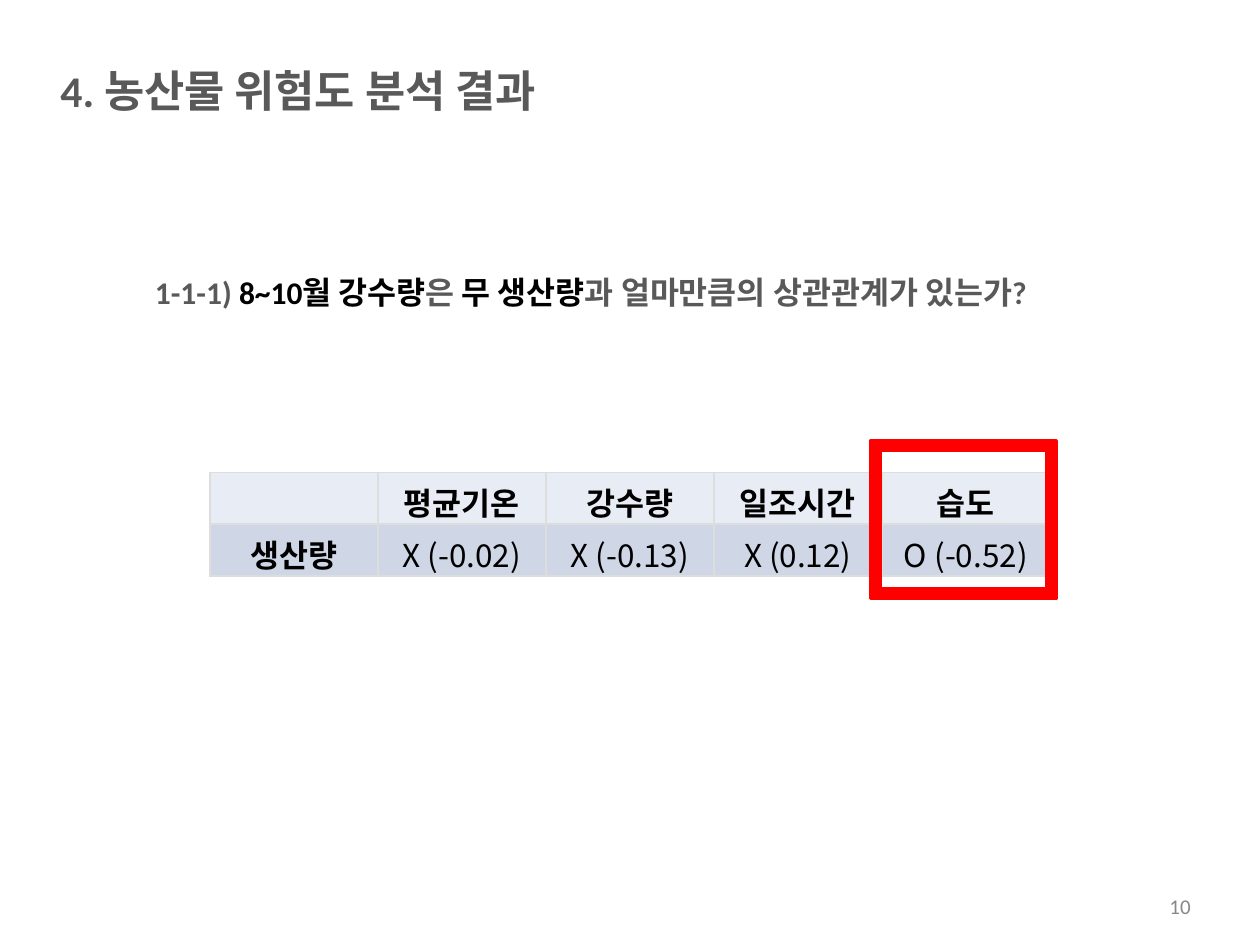
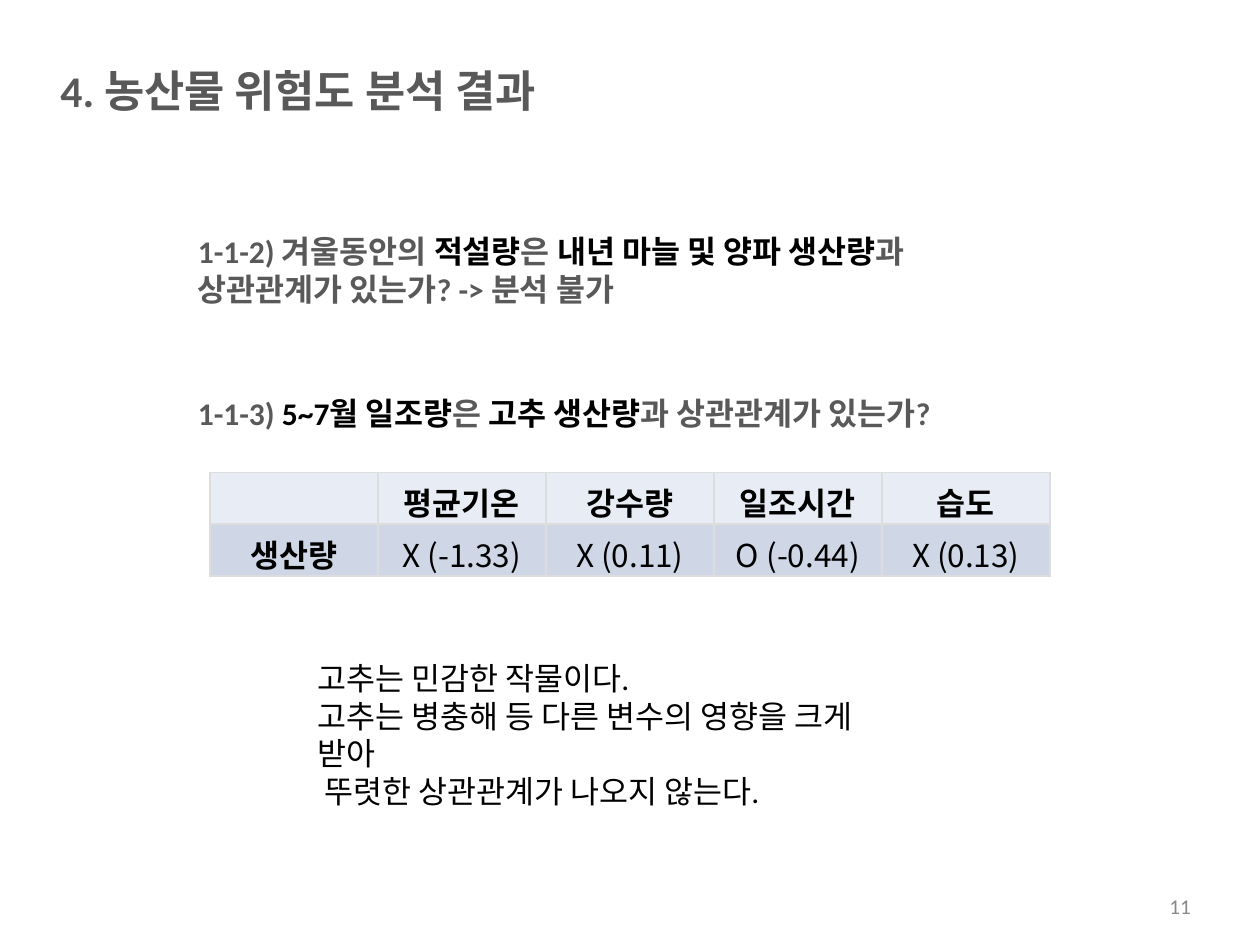
from lxml import etree
from pptx import Presentation
from pptx.dml.color import RGBColor
from pptx.enum.text import MSO_ANCHOR, PP_ALIGN
from pptx.oxml.ns import qn
from pptx.util import Inches, Pt

LEFT, CENTER, RIGHT = PP_ALIGN.LEFT, PP_ALIGN.CENTER, PP_ALIGN.RIGHT
TOP, MIDDLE = MSO_ANCHOR.TOP, MSO_ANCHOR.MIDDLE

GRAY = RGBColor(0x59, 0x59, 0x59)
BLACK = RGBColor(0, 0, 0)
NUMBER_GRAY = RGBColor(0x88, 0x88, 0x88)
RED = RGBColor(0xFF, 0, 0)
BORDER = RGBColor(0xDD, 0xDD, 0xDD)
ROW_FILLS = (RGBColor(0xE8, 0xEC, 0xF4), RGBColor(0xCF, 0xD7, 0xE7))
LATIN, KOREAN = "Calibri", "Noto Sans CJK KR"

WIDTH, HEIGHT = 10, 7.5
INSET = 0.05
TITLE_AREA = (0.43, 0.28, 8.38, 0.87)
NUMBER_AREA = (9.22, 7.06, 0.28, 0.27)
TABLE_LEFT, TABLE_TOP = WIDTH / 6, HEIGHT / 2
COLUMN_WIDTH, ROW_HEIGHT = WIDTH * 2 / 15, 0.41
FRAME_AREA = (6.91, 3.5, 1.47, 1.25)
FRAME_BAND = 0.075

TITLE = [("4.", GRAY, LATIN), (" 농산물 위험도 분석 결과", GRAY, KOREAN)]
FACTORS = ["", "평균기온", "강수량", "일조시간", "습도"]

SLIDES = [
    {
        "number": 10,
        "questions": [
            ((1.18, 1.88, 7.64, 0.87),
             [("1-1-1) ", GRAY), ("8~10월 강수량", BLACK), ("은 ", GRAY),
              ("무 생산량", BLACK), ("과 얼마만큼의 상관관계가 있는가?", GRAY)]),
        ],
        "results": ["생산량", "X (-0.02)", "X (-0.13)", "X (0.12)", "O (-0.52)"],
        "framed": True,
        "remarks": [],
    },
    {
        "number": 11,
        "questions": [
            ((1.52, 1.71, 6.51, 0.87),
             [("1-1-2) 겨울동안의 ", GRAY), ("적설량", BLACK), ("은 ", GRAY),
              ("내년 마늘 및 양파 생산량", BLACK),
              ("과 상관관계가 있는가? -> 분석 불가", GRAY)]),
            ((1.52, 2.84, 6.51, 0.87),
             [("1-1-3) ", GRAY), ("5~7월 일조량", BLACK), ("은 ", GRAY),
              ("고추 생산량", BLACK), ("과 상관관계가 있는가?", GRAY)]),
        ],
        "results": ["생산량", "X (-1.33)", "X (0.11)", "O (-0.44)", "X (0.13)"],
        "framed": False,
        "remarks": ["고추는 민감한 작물이다.",
                    "고추는 병충해 등 다른 변수의 영향을 크게 받아",
                    " 뚜렷한 상관관계가 나오지 않는다."],
    },
]
REMARKS_AREA = (2.47, 5.18, 4.62, 1.09)


def add_span(para, text, size, color, bold=False, latin=LATIN):
    span = para.add_run()
    span.text = text
    font = span.font
    font.name, font.size, font.bold = latin, Pt(size), bold
    font.color.rgb = color
    east_asian = etree.SubElement(font._element, qn("a:ea"))
    east_asian.set("typeface", KOREAN)


def add_text(page, area, lines, size, bold=False, align=LEFT, anchor=MIDDLE, wrap=True):
    box = page.shapes.add_textbox(*map(Inches, area))
    frame = box.text_frame
    frame.word_wrap, frame.vertical_anchor = wrap, anchor
    frame.margin_left = frame.margin_right = Inches(INSET)
    frame.margin_top = frame.margin_bottom = Inches(INSET)
    for index, spans in enumerate(lines):
        para = frame.add_paragraph() if index else frame.paragraphs[0]
        para.alignment = align
        for text, color, *latin in spans:
            add_span(para, text, size, color, bold, *latin)


def set_borders(cell):
    properties = cell._tc.get_or_add_tcPr()
    for index, side in enumerate(("lnL", "lnR", "lnT", "lnB")):
        line = etree.Element(qn(f"a:{side}"), w=str(Pt(1)))
        fill = etree.SubElement(line, qn("a:solidFill"))
        etree.SubElement(fill, qn("a:srgbClr"), val=str(BORDER))
        properties.insert(index, line)


def add_results(page, rows):
    columns = len(FACTORS)
    table = page.shapes.add_table(
        len(rows), columns, Inches(TABLE_LEFT), Inches(TABLE_TOP),
        Inches(columns * COLUMN_WIDTH), Inches(len(rows) * ROW_HEIGHT)).table
    table.first_row = table.horz_banding = False
    for row_index, values in enumerate(rows):
        for column_index, value in enumerate(values):
            cell = table.cell(row_index, column_index)
            cell.margin_left = cell.margin_right = Inches(INSET)
            cell.margin_top = cell.margin_bottom = Inches(INSET)
            cell.fill.solid()
            cell.fill.fore_color.rgb = ROW_FILLS[row_index]
            set_borders(cell)
            para = cell.text_frame.paragraphs[0]
            para.alignment = CENTER
            para.font.size = Pt(18)
            if value:
                heading = row_index == 0 or column_index == 0
                add_span(para, value, 18, BLACK, heading, KOREAN)


def add_frame(page):
    left, top, width, height = map(Inches, FRAME_AREA)
    band = Inches(FRAME_BAND)
    right, bottom = left + width, top + height
    builder = page.shapes.build_freeform(left, top)
    builder.add_line_segments([(right, top), (right, bottom), (left, bottom)])
    left, top, right, bottom = left + band, top + band, right - band, bottom - band
    builder.move_to(left, top)
    builder.add_line_segments([(left, bottom), (right, bottom), (right, top)])
    frame = builder.convert_to_shape()
    frame.shadow.inherit = False
    frame.fill.solid()
    frame.fill.fore_color.rgb = RED
    frame.line.color.rgb = RED
    frame.line.width = Pt(2)


def build_page(deck, content):
    page = deck.slides.add_slide(deck.slide_layouts[6])
    add_text(page, TITLE_AREA, [TITLE], 25, bold=True)
    for area, spans in content["questions"]:
        add_text(page, area, [spans], 18, bold=True)
    add_results(page, [FACTORS, content["results"]])
    if content["framed"]:
        add_frame(page)
    if content["remarks"]:
        lines = [[(remark, BLACK)] for remark in content["remarks"]]
        add_text(page, REMARKS_AREA, lines, 18, anchor=TOP)
    number = [(str(content["number"]), NUMBER_GRAY)]
    add_text(page, NUMBER_AREA, [number], 12, align=RIGHT, wrap=False)


def main():
    deck = Presentation()
    deck.slide_width, deck.slide_height = Inches(WIDTH), Inches(HEIGHT)
    for content in SLIDES:
        build_page(deck, content)
    deck.save("out.pptx")


if __name__ == "__main__":
    main()
